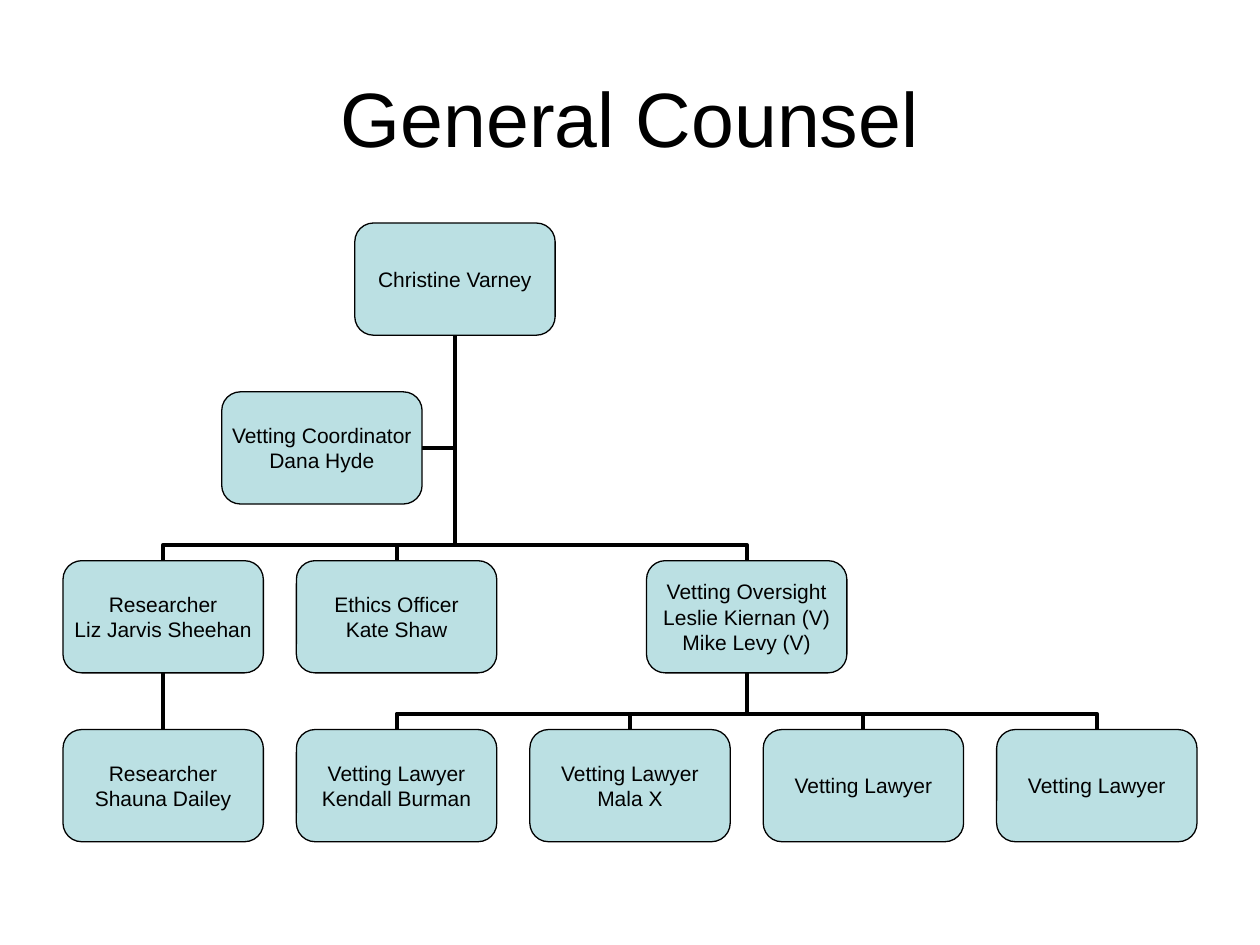
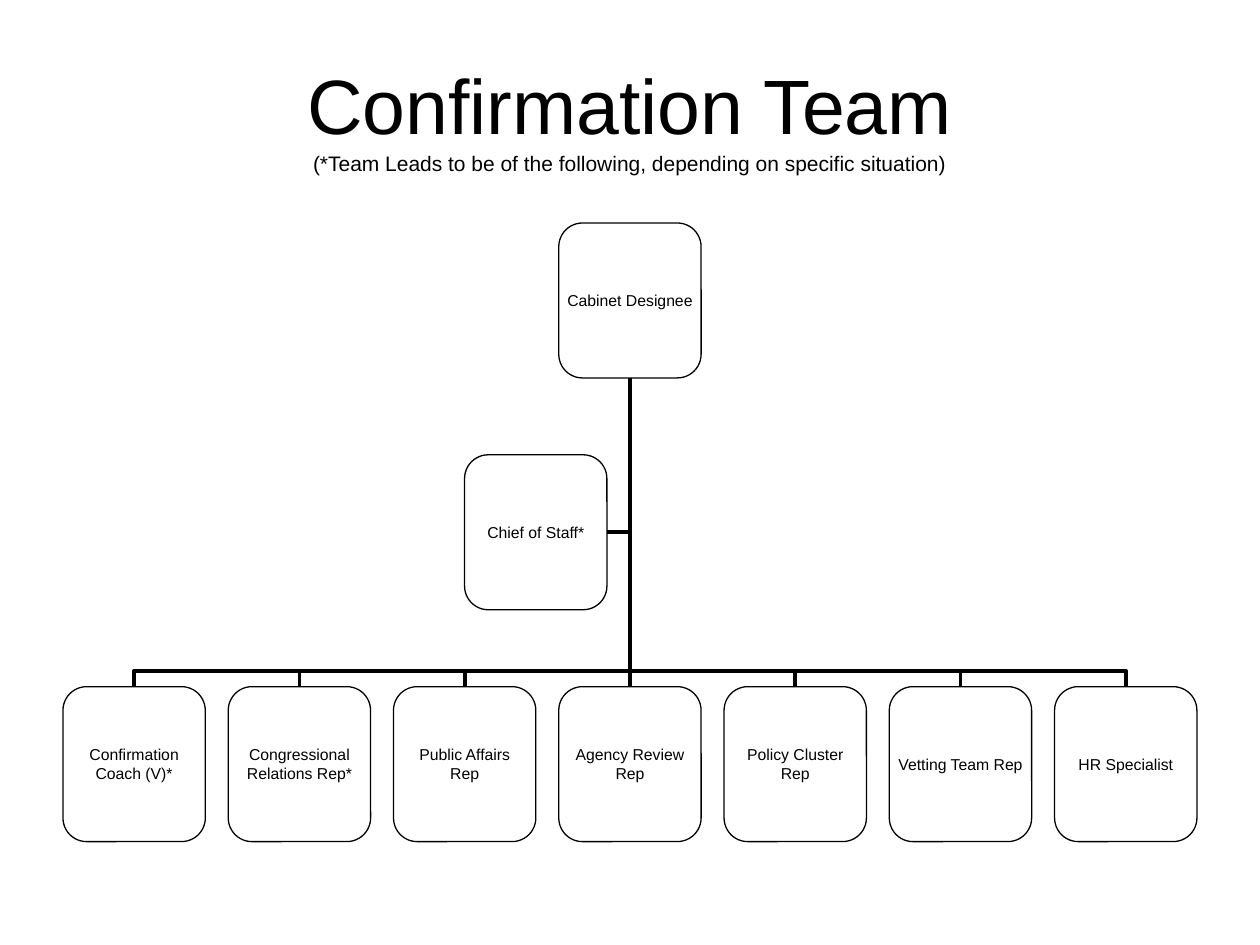
from lxml import etree
from pptx import Presentation
from pptx import util as u
from pptx.dml.color import RGBColor
from pptx.enum import shapes, text
from pptx.oxml.ns import qn

COLORS = {"ink": "000000", "box": "BBE0E3"}
FONT = "Arial"
LEFT, RIGHT, TOP, BOTTOM = 0.5, 9.5, 1.77, 6.68
DROP = u.Inches(1 / 8)

CHARTS = [
    {
        "title": "General Counsel",
        "box": (1.59, 0.89), "columns": 5, "rows": 4, "fill": "box", "size": 12,
        "nodes": [
            ("Christine Varney", 1.25, 0, None),
            ("Vetting Coordinator\nDana Hyde", 0.68, 1, 0),
            ("Researcher\nLiz Jarvis Sheehan", 0, 2, 0),
            ("Ethics Officer\nKate Shaw", 1, 2, 0),
            ("Vetting Oversight\nLeslie Kiernan (V)\nMike Levy (V)", 2.5, 2, 0),
            ("Researcher\nShauna Dailey", 0, 3, 2),
            ("Vetting Lawyer\nKendall Burman", 1, 3, 4),
            ("Vetting Lawyer\nMala X", 2, 3, 4),
            ("Vetting Lawyer", 3, 3, 4),
            ("Vetting Lawyer", 4, 3, 4),
        ],
        "assistant": 1,
    },
    {
        "title": "Confirmation Team\v(*Team Leads to be of the following, "
                 "depending on specific situation)",
        "box": (1.13, 1.23), "columns": 7, "rows": 3, "fill": None, "size": 9,
        "nodes": [
            ("Cabinet Designee", 3, 0, None),
            ("Chief of Staff*", 2.43, 1, 0),
            ("Confirmation\nCoach (V)*", 0, 2, 0),
            ("Congressional\nRelations Rep*", 1, 2, 0),
            ("Public Affairs\nRep", 2, 2, 0),
            ("Agency Review\nRep", 3, 2, 0),
            ("Policy Cluster\nRep", 4, 2, 0),
            ("Vetting Team Rep", 5, 2, 0),
            ("HR Specialist", 6, 2, 0),
        ],
        "assistant": 1,
    },
]


def style_text(text_frame, sizes):
    text_frame.vertical_anchor = text.MSO_ANCHOR.MIDDLE
    for paragraph in text_frame.paragraphs:
        paragraph.alignment = text.PP_ALIGN.CENTER
        for run, size in zip(paragraph.runs, sizes):
            run.font.name = FONT
            run.font.size = u.Pt(size)
            run.font.color.rgb = RGBColor.from_string(COLORS["ink"])


def connect(slide, child, parent, is_assistant):
    straight = child.left == parent.left
    kind = shapes.MSO_CONNECTOR.STRAIGHT if straight else shapes.MSO_CONNECTOR.ELBOW
    connector = slide.shapes.add_connector(kind, 0, 0, 0, 0)
    connector.begin_connect(child, 3 if is_assistant else 0)
    connector.end_connect(parent, 2)
    connector.line.color.rgb = RGBColor.from_string(COLORS["ink"])
    connector.line.width = u.Pt(2.25)
    properties = connector._element.spPr
    etree.SubElement(properties, qn("a:effectLst"))
    geometry = properties.find(qn("a:prstGeom"))
    if is_assistant:
        geometry.set("prst", "bentConnector2")
    elif not straight:
        across, down = connector.width, connector.height
        connector.left += (across - down) // 2
        connector.top += (down - across) // 2
        connector.width, connector.height = down, across
        child_on_left = child.left < parent.left
        frame = properties.find(qn("a:xfrm"))
        frame.set("rot", str((90 if child_on_left else 270) * 60000))
        frame.set("flipH", "1" if child_on_left else "0")
        frame.set("flipV", "1")
        guide = etree.SubElement(geometry.find(qn("a:avLst")), qn("a:gd"))
        guide.set("name", "adj1")
        guide.set("fmla", f"val {round(DROP / down * 100000)}")
    slide.shapes._spTree.insert(3, connector._element)


presentation = Presentation()
presentation.slide_width = u.Inches(10)
presentation.slide_height = u.Inches(7.5)

for chart in CHARTS:
    slide = presentation.slides.add_slide(presentation.slide_layouts[5])
    title = slide.shapes.title
    title.left, title.top = u.Inches(LEFT), u.Inches(0.3)
    title.width, title.height = u.Inches(RIGHT - LEFT), u.Inches(1.25)
    title.text_frame.text = chart["title"]
    title.text_frame.auto_size = text.MSO_AUTO_SIZE.NONE
    style_text(title.text_frame, [44, 12])

    width, height = chart["box"]
    column_step = (RIGHT - LEFT - width) / (chart["columns"] - 1)
    row_step = (BOTTOM - TOP - height) / (chart["rows"] - 1)
    boxes = []
    for label, column, row, parent in chart["nodes"]:
        box = slide.shapes.add_shape(
            shapes.MSO_SHAPE.ROUNDED_RECTANGLE,
            u.Inches(LEFT + column * column_step), u.Inches(TOP + row * row_step),
            u.Inches(width), u.Inches(height))
        box.shadow.inherit = False
        if chart["fill"]:
            box.fill.solid()
            box.fill.fore_color.rgb = RGBColor.from_string(COLORS[chart["fill"]])
        else:
            box.fill.background()
        box.line.color.rgb = RGBColor.from_string(COLORS["ink"])
        box.line.width = u.Pt(0.75)
        frame = box.text_frame
        frame.margin_left = frame.margin_right = frame.margin_top = frame.margin_bottom = 0
        frame.word_wrap = False
        frame.text = label
        style_text(frame, [chart["size"]])
        boxes.append(box)

    for index, (label, column, row, parent) in enumerate(chart["nodes"]):
        if parent is not None:
            connect(slide, boxes[index], boxes[parent], index == chart["assistant"])

presentation.save("out.pptx")
